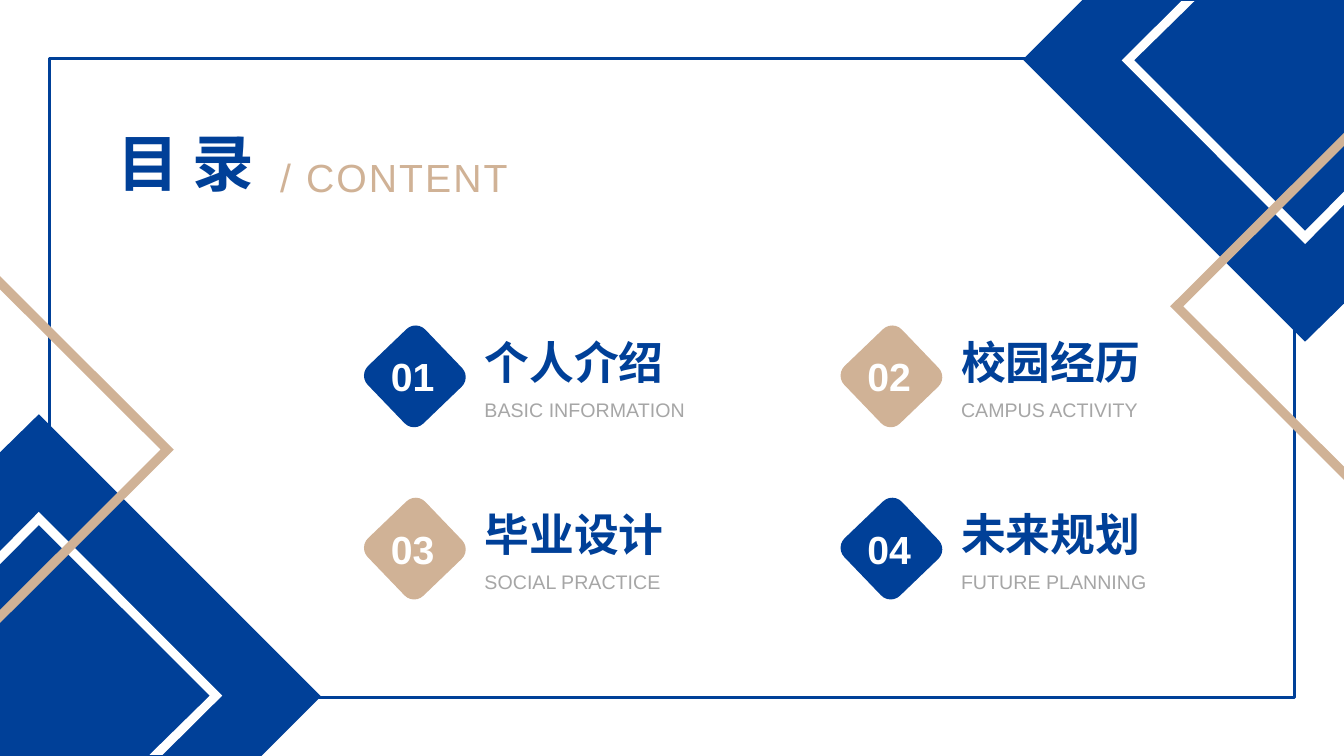
from pptx import Presentation
from pptx import util as u
from pptx.dml.color import RGBColor
from pptx.enum import shapes, text

WIDTH, HEIGHT = 33.87, 19.05
BLUE, TAN, GREY, WHITE = "004098", "D0B296", "A6A6A6", "FFFFFF"
FONT = "Arial"

SECTIONS = [
    ("01", "个人介绍", "BASIC INFORMATION", BLUE),
    ("02", "校园经历", "CAMPUS ACTIVITY", TAN),
    ("03", "毕业设计", "SOCIAL PRACTICE", TAN),
    ("04", "未来规划", "FUTURE PLANNING", BLUE),
]
FRAME = [(26.04, 1.47), (1.24, 1.47), (1.24, 11.46)]
CORNER = [
    (BLUE, [(27.28, 0), (33.87, 0), (33.87, 7.65), (32.89, 8.61), (25.78, 1.5)]),
    (WHITE, [(29.77, 0.03), (30.1, 0.03), (28.58, 1.52), (32.89, 5.82),
             (33.87, 4.83), (33.87, 5.16), (32.89, 6.15), (28.27, 1.52)]),
    (TAN, [(33.87, 3.35), (33.87, 3.68), (29.82, 7.72),
           (33.87, 11.76), (33.87, 12.09), (29.49, 7.72)]),
]
GRID_LEFT, GRID_TOP, COLUMN_STEP, ROW_STEP = 9.45, 8.48, 12.01, 4.34
DIAMOND = 2.01


def color(value):
    return RGBColor.from_string(value)


def paint(shape, fill):
    shape.shadow.inherit = False
    shape.fill.solid()
    shape.fill.fore_color.rgb = color(fill)
    shape.line.fill.background()


def half_turn(points):
    return [(WIDTH - x, HEIGHT - y) for x, y in points]


def add_outline(page, points, close):
    corners = [(u.Cm(x), u.Cm(y)) for x, y in points]
    builder = page.shapes.build_freeform(*corners[0])
    builder.add_line_segments(corners[1:], close=close)
    return builder.convert_to_shape()


def add_frame(page, points):
    frame = add_outline(page, points, False)
    frame.shadow.inherit = False
    frame.fill.background()
    frame.line.color.rgb = color(BLUE)
    frame.line.width = u.Pt(2)


def add_text(page, words, place, size, ink, bold=False, centred=False, spacing=0):
    box = page.shapes.add_textbox(*(u.Cm(value) for value in place))
    frame = box.text_frame
    frame.word_wrap = centred
    frame.text = words
    para = frame.paragraphs[0]
    if centred:
        frame.vertical_anchor = text.MSO_ANCHOR.MIDDLE
        para.alignment = text.PP_ALIGN.CENTER
    span = para.runs[0]
    span.font.name = FONT
    span.font.size = u.Pt(size)
    span.font.bold = bold
    span.font.color.rgb = color(ink)
    if spacing:
        span.font._element.set("spc", str(spacing))


def add_section(page, index, number, title, subtitle, fill):
    row, column = divmod(index, 2)
    left = GRID_LEFT + column * COLUMN_STEP
    top = GRID_TOP + row * ROW_STEP
    add_text(page, title, (left + 2.51, top - 0.18, 5.08, 1.62), 32, BLUE, bold=True)
    add_text(page, subtitle, (left + 2.51, top + 1.42, 5.6, 0.86), 14, GREY)
    diamond = page.shapes.add_shape(
        shapes.MSO_SHAPE.ROUNDED_RECTANGLE,
        u.Cm(left), u.Cm(top), u.Cm(DIAMOND), u.Cm(DIAMOND))
    diamond.rotation = 46.2
    paint(diamond, fill)
    add_text(page, number, (left + 0.15, top + 0.28, 1.65, 1.45), 28, WHITE, bold=True)


def main():
    deck = Presentation()
    deck.slide_width, deck.slide_height = u.Cm(WIDTH), u.Cm(HEIGHT)
    page = deck.slides.add_slide(deck.slide_layouts[6])
    add_frame(page, FRAME)
    add_frame(page, half_turn(FRAME))
    for fill, points in CORNER:
        paint(add_outline(page, points, True), fill)
        paint(add_outline(page, half_turn(points), True), fill)
    for index, section in enumerate(SECTIONS):
        add_section(page, index, *section)
    add_text(page, "/ CONTENT", (6.55, 3.73, 6.76, 1.45), 28, TAN, centred=True, spacing=150)
    add_text(page, "目 录", (2.41, 3.05, 4.55, 2.06), 44, BLUE, bold=True, centred=True)
    deck.save("out.pptx")


if __name__ == "__main__":
    main()
